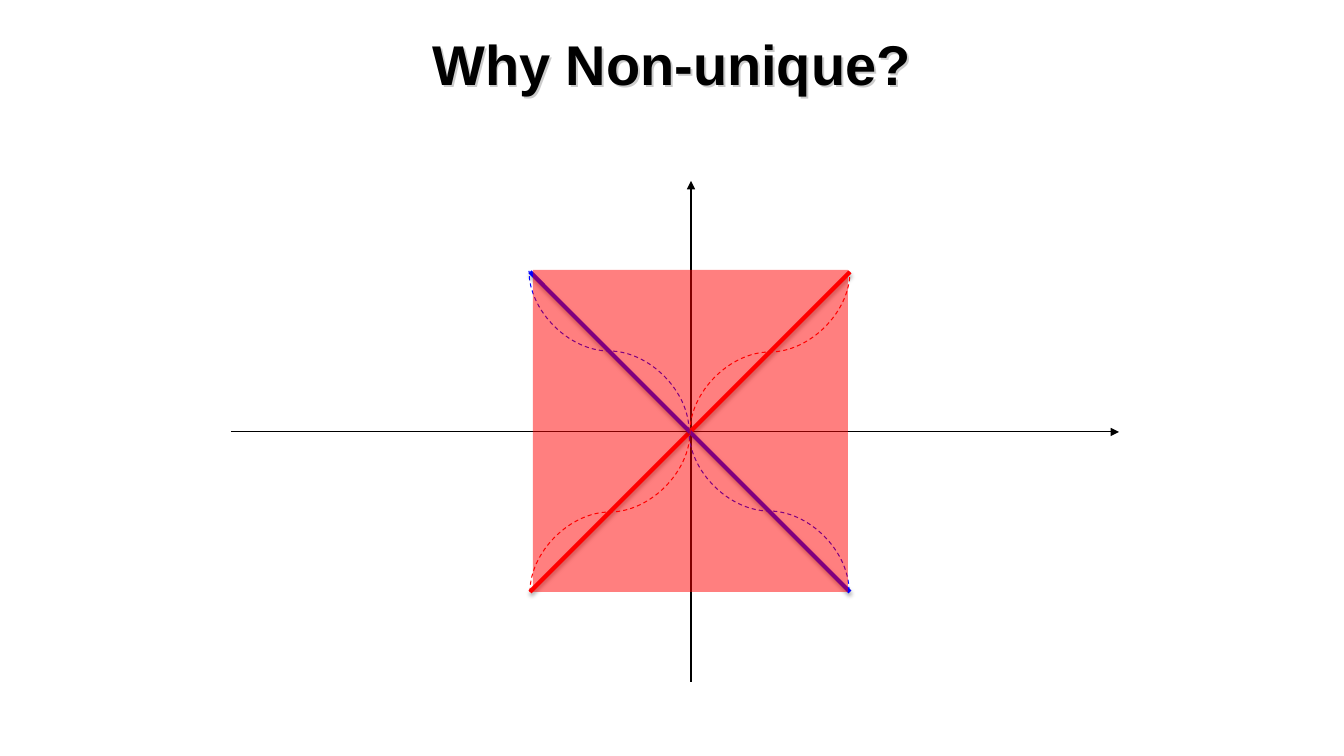
from lxml.etree import SubElement
from pptx import Presentation
from pptx.dml.color import RGBColor
from pptx.enum.dml import MSO_LINE
from pptx.enum.shapes import MSO_CONNECTOR, MSO_SHAPE
from pptx.enum.text import MSO_ANCHOR, MSO_AUTO_SIZE, PP_ALIGN
from pptx.oxml.ns import qn
from pptx.util import Pt

EMU_PER_PX = 914400 / 100.8
COLORS = {"black": "000000", "red": "FF0000", "blue": "0000FF"}


def px(n):
    return round(n * EMU_PER_PX)


def rgb(name):
    return RGBColor.from_string(COLORS[name])


def add_effects(props, shadow=None):
    """Add an effect list; shadow is (blur pt, distance pt, degrees, opacity %)."""
    effects = SubElement(props, qn("a:effectLst"))
    if shadow:
        blur, dist, angle, opacity = shadow
        outer = SubElement(effects, qn("a:outerShdw"), blurRad=str(Pt(blur)),
                           dist=str(Pt(dist)), dir=str(angle * 60000), rotWithShape="0")
        color = SubElement(outer, qn("a:srgbClr"), val=COLORS["black"])
        SubElement(color, qn("a:alpha"), val=str(opacity * 1000))


def write(tf, text, size, color="black", font="Arial", bold=False):
    p = tf.paragraphs[0]
    p.alignment = PP_ALIGN.CENTER
    r = p.add_run()
    r.text = text
    r.font.size, r.font.bold, r.font.name = Pt(size), bold, font
    r.font.color.rgb = rgb(color)


def add_line(shapes, start, end, color, width=0.75, kind=MSO_CONNECTOR.STRAIGHT,
             rotation=0, dashed=False, arrow=False, shadow=None):
    line = shapes.add_connector(kind, *map(px, start + end))
    line.line.color.rgb = rgb(color)
    line.line.width = Pt(width)
    sp_pr = line._element.spPr
    if dashed:
        line.line.dash_style = MSO_LINE.DASH
    if arrow:
        SubElement(sp_pr.find(qn("a:ln")), qn("a:tailEnd"), type="triangle")
    if rotation:
        sp_pr.find(qn("a:xfrm")).set("rot", str(rotation * 60000))
    add_effects(sp_pr, shadow)


def add_title(s, box, text):
    title = s.shapes.title
    title.left, title.top, title.width, title.height = map(px, box)
    title.fill.background()
    add_effects(title._element.spPr, shadow=(0, 2, 45, 20))
    tf = title.text_frame
    tf.word_wrap = True
    tf.auto_size = MSO_AUTO_SIZE.NONE
    tf.vertical_anchor = MSO_ANCHOR.MIDDLE
    write(tf, text, 40, bold=True)


def add_axes(s, box, cx, cy):
    x, y, w, h = box
    add_line(s.shapes, (x, cy), (x + w, cy), "black", arrow=True)
    add_line(s.shapes, (cx, y + h), (cx, y), "black", arrow=True)


def add_wave(s, cx, cy, size, side, color):
    """Two dashed S-curves through the centre, rising if side is 1, falling if -1."""
    group = s.shapes.add_group_shape()
    half = size / 2
    for sign in (-1, 1):
        mx, my = cx + sign * half, cy - sign * side * half
        # Each box is square: a quarter turn keeps its place and makes the ends vertical.
        add_line(group.shapes, (mx + side * half, my + half), (mx - side * half, my - half),
                 color, kind=MSO_CONNECTOR.CURVE, rotation=180 - side * 90, dashed=True)


def add_plot(s, box):
    x, y, w, h = box
    cx, cy, half = x + 459, y + 251, 160
    add_axes(s, box, cx + 1, cy)

    for color, side in (("red", 1), ("blue", -1)):
        add_line(s.shapes, (cx - side * half, cy + half), (cx + side * half, cy - half),
                 color, width=3, shadow=(3.1, 1.8, 90, 35))

    add_wave(s, cx, cy, half, 1, "red")
    add_wave(s, cx - 1, cy - 1, half, -1, "blue")

    square = s.shapes.add_shape(MSO_SHAPE.RECTANGLE, px(cx - 157), px(cy - 162),
                                px(315), px(322))
    square.shadow.inherit = False
    square.line.fill.background()
    square.fill.solid()
    square.fill.fore_color.rgb = rgb("red")
    color = square._element.spPr.find(qn("a:solidFill")).find(qn("a:srgbClr"))
    SubElement(color, qn("a:alpha"), val="50000")


def main():
    prs = Presentation()
    prs.slide_width, prs.slide_height = px(1344), px(756)
    s = prs.slides.add_slide(prs.slide_layouts[5])
    add_title(s, (22, 17, 1299, 93), "Why Non-unique?")
    add_plot(s, (231, 181, 888, 501))
    prs.save("out.pptx")


if __name__ == "__main__":
    main()
